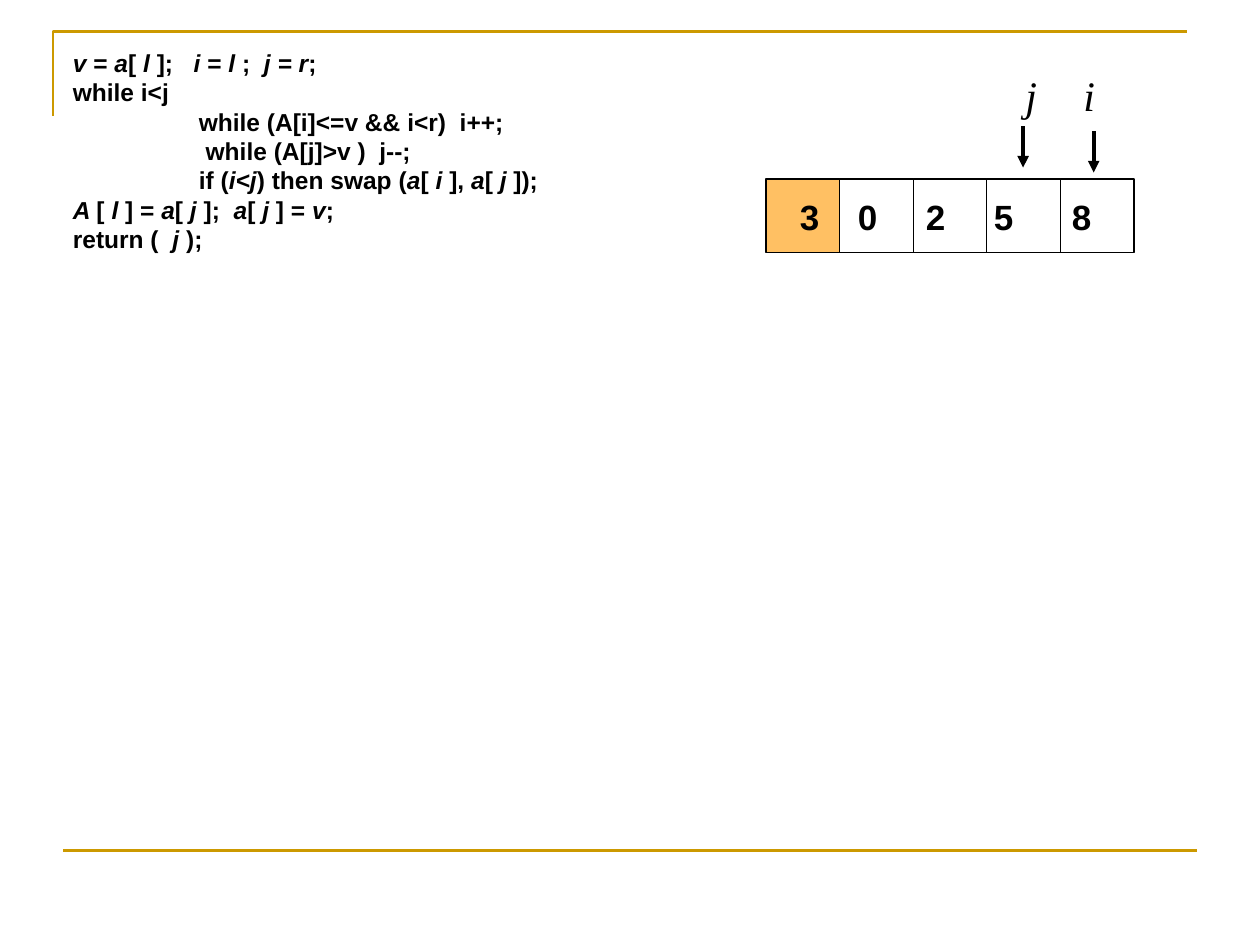
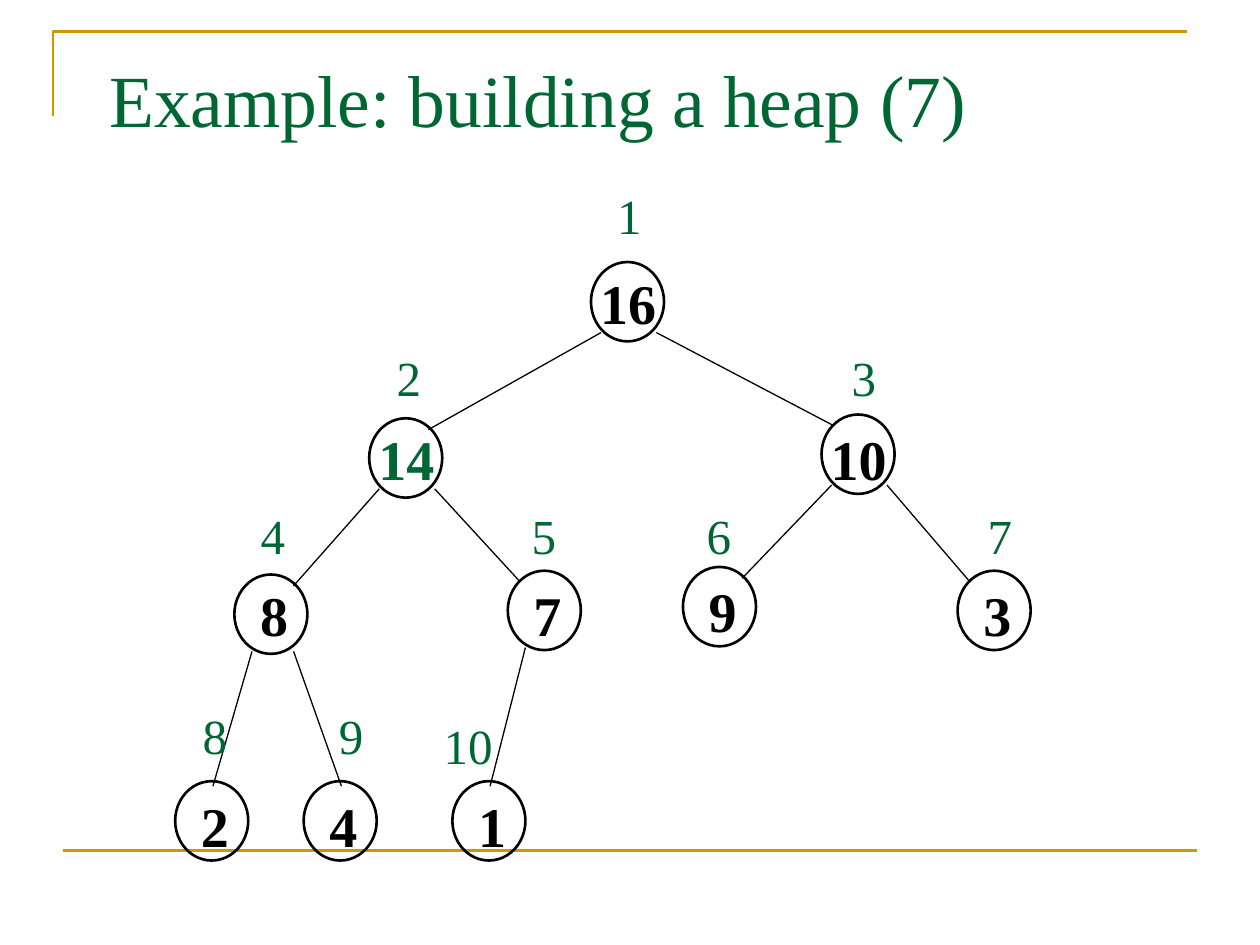
import pptx
import pptx.dml.color
import pptx.enum.shapes
import pptx.enum.text
import pptx.util
from lxml import etree
from pptx.oxml.ns import qn

Inches = pptx.util.Inches
Shape = pptx.enum.shapes.MSO_SHAPE
Align = pptx.enum.text.PP_ALIGN

BLACK, GREEN, GOLD, PIVOT_FILL = "000000", "006633", "CC9900", "FFC063"
SANS, SERIF = "Arial", "Times New Roman"

# Asterisks switch italics on and off.
CODE = [
    "*v *= *a*[ *l *];   *i* = *l *;  *j = r*;",
    "while i<j",
    "\twhile (A[i]<=v && i<r)  i++;",
    "\t while (A[j]>v )  j--;",
    "\tif (*i<j*) then swap (*a*[ *i *], *a*[ *j *]);",
    "*A *[ *l *] = *a*[ *j *];  *a*[ *j *] = *v*;",
    "return (  *j *);",
]
ARRAY_VALUES = ["3", "0", "2", "5", "8"]
ARRAY_TABS = [0.46, 1, 1.54, 2.16]

# Heap order: value, node left and top, value top, index left and top.
HEAP = [
    ("16", 4.69, 2.08, 2.08, 4.8, 1.42),
    ("14", 2.93, 3.32, 3.32, 3.05, 2.71),
    ("10", 6.52, 3.29, 3.32, 6.66, 2.71),
    ("8", 1.86, 4.56, 4.56, 1.97, 3.96),
    ("7", 4.03, 4.53, 4.56, 4.12, 3.96),
    ("9", 5.42, 4.5, 4.53, 5.51, 3.96),
    ("3", 7.6, 4.53, 4.56, 7.74, 3.96),
    ("2", 1.39, 6.2, 6.23, 1.51, 5.55),
    ("4", 2.41, 6.2, 6.23, 2.59, 5.55),
    ("1", 3.59, 6.2, 6.23, 3.42, 5.63),
]
MOVED_INDEX = 2
FIRST_BOTTOM_INDEX = 8


def color(value):
    return pptx.dml.color.RGBColor.from_string(value)


def style_outline(shape, line_color, width):
    shape.line.color.rgb = color(line_color)
    shape.line.width = pptx.util.Pt(width)


def add_line(page, start, end, line_color=BLACK, width=0.75, arrow=False):
    points = [Inches(value) for value in (*start, *end)]
    line = page.shapes.add_connector(
        pptx.enum.shapes.MSO_CONNECTOR.STRAIGHT, *points)
    style_outline(line, line_color, width)
    if arrow:
        etree.SubElement(line.line._get_or_add_ln(), qn("a:tailEnd"), type="triangle")
    etree.SubElement(line._element.spPr, qn("a:effectLst"))


def add_outline(page, kind, place, width, fill=None):
    shape = page.shapes.add_shape(kind, *map(Inches, place))
    shape.shadow.inherit = False
    if fill:
        shape.fill.solid()
        shape.fill.fore_color.rgb = color(fill)
    else:
        shape.fill.background()
    style_outline(shape, BLACK, width)


def add_text(page, place, lines, size, font=SERIF, ink=BLACK, align=Align.LEFT,
             wrap=True, tabs=(), **looks):
    box = page.shapes.add_textbox(*map(Inches, place))
    frame = box.text_frame
    frame.word_wrap = wrap
    for number, line in enumerate(lines):
        para = frame.paragraphs[0] if number == 0 else frame.add_paragraph()
        para.alignment = align
        if tabs:
            stops = etree.SubElement(para._p.get_or_add_pPr(), qn("a:tabLst"))
            for stop in tabs:
                etree.SubElement(stops, qn("a:tab"), pos=str(Inches(stop)), algn="l")
        for part, words in enumerate(line.split("*")):
            if not words:
                continue
            span = para.add_run()
            span.text = words
            formats = {"name": font, "size": pptx.util.Pt(size),
                       "italic": part % 2 == 1, **looks}
            for name, value in formats.items():
                setattr(span.font, name, value)
            span.font.color.rgb = color(ink)
    return box


def add_page(deck):
    """Add a blank slide with the gold corner and footer rule."""
    page = deck.slides.add_slide(deck.slide_layouts[6])
    builder = page.shapes.build_freeform(Inches(0.42), Inches(0.92))
    builder.add_line_segments(
        [(Inches(0.42), Inches(0.25)), (Inches(9.42), Inches(0.25))], close=False)
    corner = builder.convert_to_shape()
    corner.shadow.inherit = False
    corner.fill.background()
    style_outline(corner, GOLD, 1.5)
    add_line(page, (0.5, 6.75), (9.5, 6.75), GOLD, 1.5)
    return page


def add_title(page, title):
    box = add_text(page, (0.77, 0.33, 8.83, 1), [title], 42, ink=GREEN)
    box.text_frame.margin_top = Inches(0.1)


def add_array(page, left, top, width):
    cell = width / len(ARRAY_VALUES)
    for number in range(len(ARRAY_VALUES)):
        add_outline(page, Shape.RECTANGLE, (left + number * cell, top, cell, cell),
                    0.75, PIVOT_FILL if number == 0 else None)
    add_text(page, (left + 0.17, top + 0.08, 2.67, 0.77), ["\t".join(ARRAY_VALUES)],
             20, SANS, tabs=ARRAY_TABS, bold=True)


def add_pointer(page, name, left, top, arrow_left, arrow_top):
    add_text(page, (left, top, 0.29, 0.5), [name], 24, wrap=False, italic=True)
    add_line(page, (arrow_left, arrow_top), (arrow_left, arrow_top + 0.33),
             width=2.25, arrow=True)


def add_edge(page, index):
    """Join a heap node to its parent."""
    _, left, top, *_ = HEAP[index - 1]
    _, parent_left, parent_top, *_ = HEAP[index // 2 - 1]
    is_left = index % 2 == 0
    if index >= FIRST_BOTTOM_INDEX:
        leave = (0.14, 0.61) if is_left else (0.47, 0.61)
        arrive = (0.3, 0.04)
    else:
        leave = (0.08, 0.56) if is_left else (0.52, 0.56)
        arrive = (0.47, 0.09) if is_left else (0.1, 0.09)
    add_line(page, (parent_left + leave[0], parent_top + leave[1]),
             (left + arrive[0], top + arrive[1]))


def add_node(page, index):
    value, left, top, value_top, index_left, index_top = HEAP[index - 1]
    add_outline(page, Shape.OVAL, (left, top, 0.58, 0.63), 1.5)
    shift = 0.1 if len(value) > 1 else 0.08
    add_text(page, (left - shift, value_top, 0.79, 0.64), [value], 32,
             ink=GREEN if index == MOVED_INDEX else BLACK,
             align=Align.CENTER, bold=True)
    label = str(index)
    add_text(page, (index_left, index_top, 0.19 + 0.2 * len(label), 0.57), [label],
             28, ink=GREEN, align=Align.CENTER, wrap=False)


def add_partition_slide(deck):
    page = add_page(deck)
    add_array(page, 6.08, 1.42, 2.92)
    add_pointer(page, "i", 8.5, 0.5, 8.68, 1.04)
    add_pointer(page, "j", 8.04, 0.5, 8.12, 1)
    add_text(page, (0.48, 0.33, 3.94, 1.74), CODE, 14, SANS, wrap=False,
             tabs=[1], bold=True)


def add_heap_slide(deck):
    page = add_page(deck)
    add_title(page, "Example: building a heap (7)")
    for index in range(2, len(HEAP) + 1):
        add_edge(page, index)
    for index in range(1, len(HEAP) + 1):
        add_node(page, index)


def main():
    deck = pptx.Presentation()
    deck.slide_width, deck.slide_height = Inches(10), Inches(7.5)
    add_partition_slide(deck)
    add_heap_slide(deck)
    deck.save("out.pptx")


if __name__ == "__main__":
    main()
